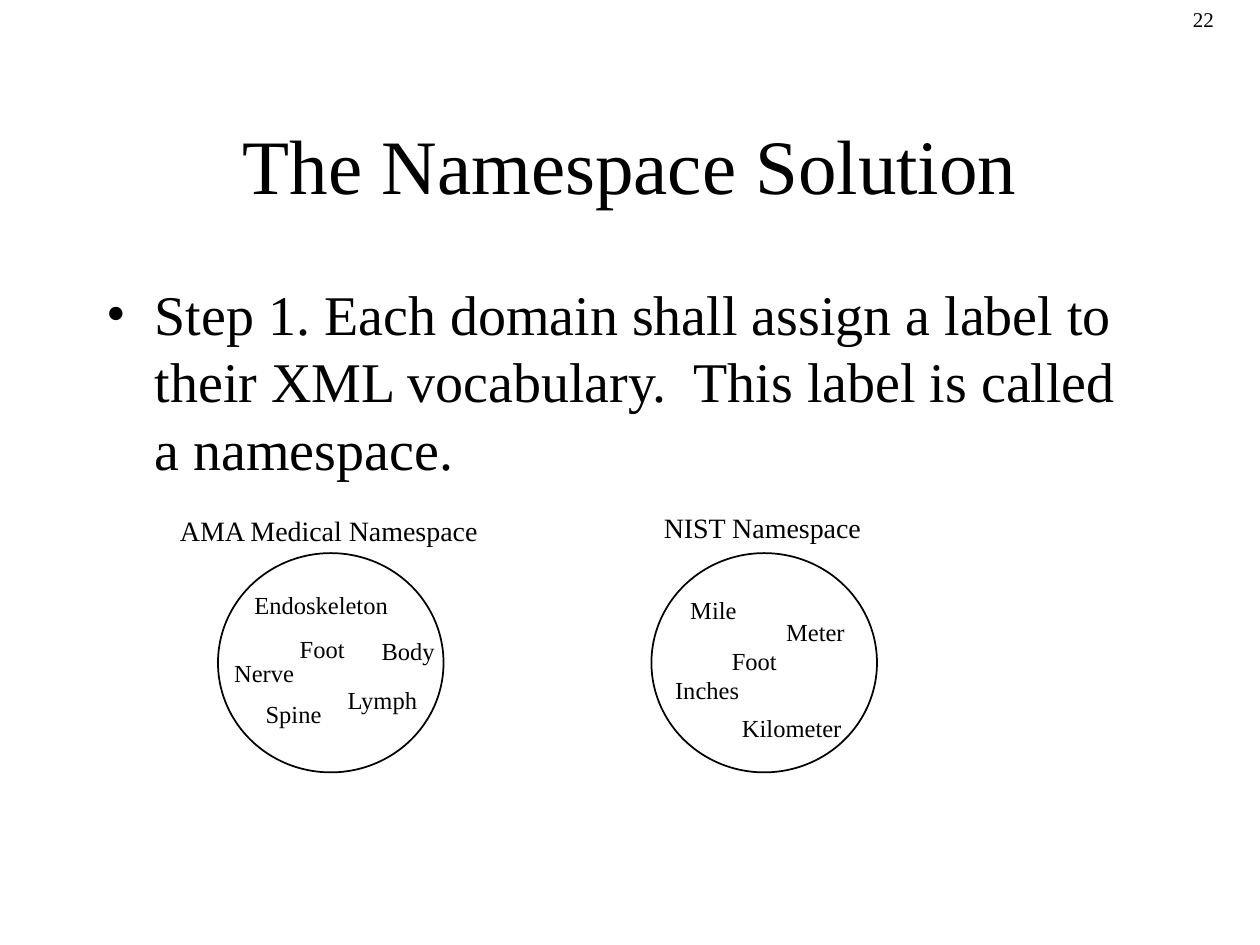
from dataclasses import dataclass

from lxml.etree import SubElement
from pptx import Presentation
from pptx.dml.color import RGBColor as Rgb
from pptx.enum.shapes import MSO_SHAPE as Shape
from pptx.enum.text import MSO_ANCHOR as Anchor
from pptx.enum.text import MSO_AUTO_SIZE as Fit
from pptx.enum.text import PP_ALIGN as Align
from pptx.oxml.ns import qn
from pptx.util import Inches, Pt


@dataclass(frozen=True)
class Theme:
    font: str = "Times New Roman"
    ink: Rgb = Rgb(0, 0, 0)
    paper: Rgb = Rgb(255, 255, 255)
    title: int = 44
    body: int = 32
    label: int = 16
    word: int = 14
    page: int = 12


THEME = Theme()
PAGE = "22"
TITLE = "The Namespace Solution"
STEP = ("Step 1. Each domain shall assign a label to their XML vocabulary."
        "  This label is called a namespace.")

TOP, SIZE = 4.39, (1.79, 1.74)
LABEL_H, WORD_H = 0.37, 0.34
SLACK = 0.03  # spare width that keeps a word on one line

# Each word: text, left, top, width
SPACES = [
    {"left": 1.73, "label": ("AMA Medical Namespace", 1.33, 4.03, 2.57),
     "words": [("Endoskeleton", 1.92, 4.63, 1.26),
               ("Nerve", 1.76, 5.17, 0.67),
               ("Body", 2.93, 5.0, 0.62),
               ("Spine", 2.01, 5.5, 0.64),
               ("Lymph", 2.66, 5.39, 0.76),
               ("Foot", 2.28, 4.98, 0.56)]},
    {"left": 5.17, "label": ("NIST Namespace", 5.17, 4.0, 1.77),
     "words": [("Mile", 5.38, 4.67, 0.57),
               ("Meter", 6.14, 4.85, 0.66),
               ("Inches", 5.26, 5.31, 0.71),
               ("Kilometer", 5.79, 5.61, 0.99),
               ("Foot", 5.71, 5.08, 0.56)]},
]


def add_bullet(para, indent):
    props = para._p.get_or_add_pPr()
    props.set("marL", str(Inches(indent)))
    props.set("indent", str(-Inches(indent)))
    SubElement(props, qn("a:buFont")).set("typeface", THEME.font)
    SubElement(props, qn("a:buChar")).set("char", "•")


def add_text(slide, text, left, top, width, height, size,
             wrap=False, align=Align.LEFT, anchor=Anchor.TOP, bullet=None):
    box = slide.shapes.add_textbox(*map(Inches, (left, top, width, height)))
    frame = box.text_frame
    frame.word_wrap = wrap
    frame.auto_size = Fit.NONE if wrap else Fit.SHAPE_TO_FIT_TEXT
    frame.vertical_anchor = anchor
    para = frame.paragraphs[0]
    para.alignment = align
    if bullet:
        add_bullet(para, bullet)
    run = para.add_run()
    run.text = text
    run.font.name = THEME.font
    run.font.size = Pt(size)
    run.font.color.rgb = THEME.ink


def add_circle(slide, left):
    oval = slide.shapes.add_shape(
        Shape.OVAL, *map(Inches, (left, TOP, *SIZE)))
    oval.shadow.inherit = False
    oval.fill.solid()
    oval.fill.fore_color.rgb = THEME.paper
    oval.line.color.rgb = THEME.ink
    oval.line.width = Pt(1)


def main():
    deck = Presentation()
    deck.slide_width, deck.slide_height = Inches(10), Inches(7.5)
    slide = deck.slides.add_slide(deck.slide_layouts[6])

    add_text(slide, PAGE, 9.37, 0, 0.9, 0.3, THEME.page)
    add_text(slide, TITLE, 0.75, 0.67, 8.5, 1.25, THEME.title,
             wrap=True, align=Align.CENTER, anchor=Anchor.MIDDLE)
    add_text(slide, STEP, 0.75, 2.17, 8.5, 1.8, THEME.body,
             wrap=True, bullet=0.38)
    for space in SPACES:
        add_circle(slide, space["left"])
        add_text(slide, *space["label"], LABEL_H, THEME.label)
        for word, left, top, width in space["words"]:
            add_text(slide, word, left, top, width + SLACK, WORD_H,
                     THEME.word)

    deck.save("out.pptx")


if __name__ == "__main__":
    main()
